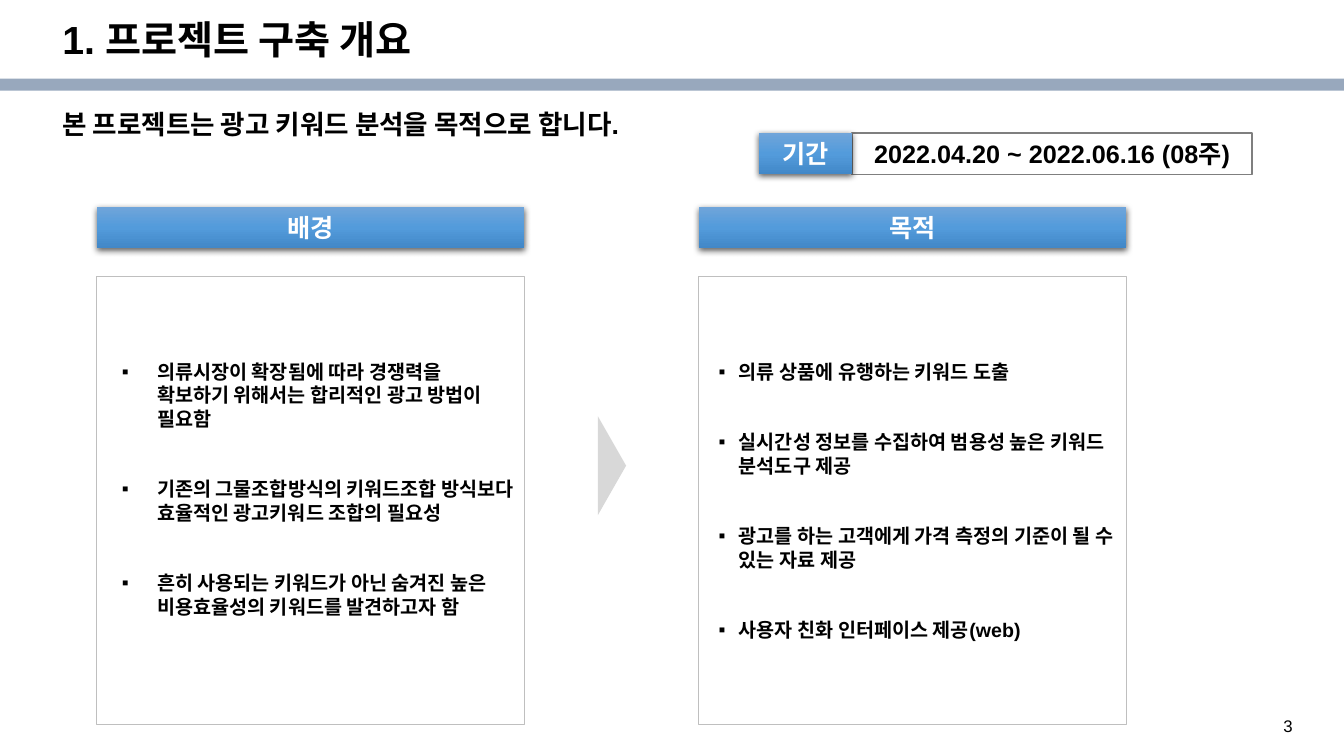
from pptx import Presentation
from pptx.dml.color import RGBColor
from pptx.enum.shapes import MSO_SHAPE as SHAPE
from pptx.enum.text import MSO_ANCHOR as ANCHOR, PP_ALIGN as ALIGN
from pptx.oxml import parse_xml
from pptx.oxml.ns import nsdecls, qn
from pptx.util import Inches, Pt

GRADIENT = [(0, "70A5DA"), (50, "539BDB"), (100, "4288C8")]
HEADER_H = 0.41
COLUMN_W = 4.24

# heading, left edge, bullet margin, hanging indent, bottom inset, points
COLUMNS = [
    ("배경", 0.96, 0.5, 0.35, 0.28, [
        "의류시장이 확장됨에 따라 경쟁력을 확보하기 위해서는 합리적인 광고 방법이 필요함",
        "기존의 그물조합방식의 키워드조합 방식보다 효율적인 광고키워드 조합의 필요성",
        "흔히 사용되는 키워드가 아닌 숨겨진 높은 비용효율성의 키워드를 발견하고자 함",
    ]),
    ("목적", 6.93, 0.3, 0.2, 0.05, [
        "의류 상품에 유행하는 키워드 도출",
        "실시간성 정보를 수집하여 범용성 높은 키워드 분석도구 제공",
        "광고를 하는 고객에게 가격 측정의 기준이 될 수 있는 자료 제공",
        "사용자 친화 인터페이스 제공(web)",
    ]),
]


def rgb(color):
    return RGBColor.from_string(color)


def write(p, text, size, color="000000", bold=True, align=ALIGN.LEFT):
    p.text = text
    p.alignment = align
    font = p.runs[0].font
    font.name, font.size, font.bold = "Arial", Pt(size), bold
    font.color.rgb = rgb(color)


def add_text(s, box, text, size, bold=True, spacing=1.0, anchor=ANCHOR.TOP):
    tf = s.shapes.add_textbox(*map(Inches, box)).text_frame
    tf.word_wrap = True
    tf.vertical_anchor = anchor
    write(tf.paragraphs[0], text, size, bold=bold)
    tf.paragraphs[0].line_spacing = spacing


def add_box(s, box, fill=None, line=None, line_w=1, kind=SHAPE.RECTANGLE):
    sp = s.shapes.add_shape(kind, *map(Inches, box))
    sp.shadow.inherit = False
    if fill:
        sp.fill.solid()
        sp.fill.fore_color.rgb = rgb(fill)
    else:
        sp.fill.background()
    if line:
        sp.line.color.rgb = rgb(line)
        sp.line.width = Pt(line_w)
    else:
        sp.line.fill.background()
    sp.text_frame.word_wrap = True
    sp.text_frame.vertical_anchor = ANCHOR.MIDDLE
    return sp


def add_header(s, box, text):
    """Blue gradient label with a soft shadow below."""
    sp = add_box(s, box)
    sp_pr = sp._element.spPr
    stops = "".join(f'<a:gs pos="{pos * 1000}"><a:srgbClr val="{color}"/></a:gs>'
                    for pos, color in GRADIENT)
    sp_pr.replace(sp_pr.find(qn("a:noFill")), parse_xml(
        f'<a:gradFill {nsdecls("a")}><a:gsLst>{stops}</a:gsLst>'
        '<a:lin ang="5400000" scaled="0"/></a:gradFill>'))
    sp_pr.find(qn("a:effectLst")).append(parse_xml(
        f'<a:outerShdw {nsdecls("a")} blurRad="{Pt(4.5)}" dist="{Pt(1.5)}" '
        'dir="5400000" algn="ctr" rotWithShape="0">'
        '<a:srgbClr val="000000"><a:alpha val="62000"/></a:srgbClr></a:outerShdw>'))
    write(sp.text_frame.paragraphs[0], text, 18, "FFFFFF", align=ALIGN.CENTER)


def add_bullets(tf, points, margin, hang):
    for i, point in enumerate(points):
        p = tf.add_paragraph() if i else tf.paragraphs[0]
        write(p, point, 14)
        if i:
            p.space_before = Pt(33.5)
        p_pr = p._p.get_or_add_pPr()
        p_pr.set("marL", str(Inches(margin)))
        p_pr.set("indent", str(-Inches(hang)))
        for xml in ('<a:buClr {}><a:srgbClr val="000000"/></a:buClr>',
                    '<a:buFont {} typeface="Arial"/>',
                    '<a:buChar {} char="▪"/>'):
            p_pr.append(parse_xml(xml.format(nsdecls("a"))))


def add_column(s, heading, left, margin, hang, bottom, points):
    add_header(s, (left, 2.05, COLUMN_W, HEADER_H), heading)
    panel = add_box(s, (left, 2.74, COLUMN_W, 4.45), "FFFFFF", "BFBFBF", 0.75)
    panel.text_frame.margin_bottom = Inches(bottom)
    add_bullets(panel.text_frame, points, margin, hang)


def main():
    prs = Presentation()
    prs.slide_width, prs.slide_height = Inches(13.33), Inches(7.5)
    s = prs.slides.add_slide(prs.slide_layouts[6])

    # Title band, page number and lead sentence
    add_box(s, (0, 0.78, 13.33, 0.12), "98A8BD")
    add_text(s, (12.63, 7.05, 0.52, 0.27), "3", 12, bold=False)
    add_text(s, (0.52, 0.15, 11.5, 0.53), "1. 프로젝트 구축 개요", 28,
             spacing=0.9, anchor=ANCHOR.MIDDLE)
    add_text(s, (0.52, 1.06, 12.01, 0.71),
             "본 프로젝트는 광고 키워드 분석을 목적으로 합니다.", 19, spacing=0.9)

    # Project period
    period = add_box(s, (8.45, 1.32, 3.97, HEADER_H), "FFFFFF", "7F7F7F")
    write(period.text_frame.paragraphs[0], "2022.04.20 ~ 2022.06.16 (08주)", 18,
          align=ALIGN.CENTER)
    add_header(s, (7.53, 1.32, 0.92, HEADER_H), "기간")

    # Background and purpose, with the pointer between them
    for column in COLUMNS:
        add_column(s, *column)
    pointer = add_box(s, (5.58, 4.48, 0.98, 0.28), "D8D8D8",
                      kind=SHAPE.ISOSCELES_TRIANGLE)
    pointer.rotation = 90

    prs.save("out.pptx")


if __name__ == "__main__":
    main()
